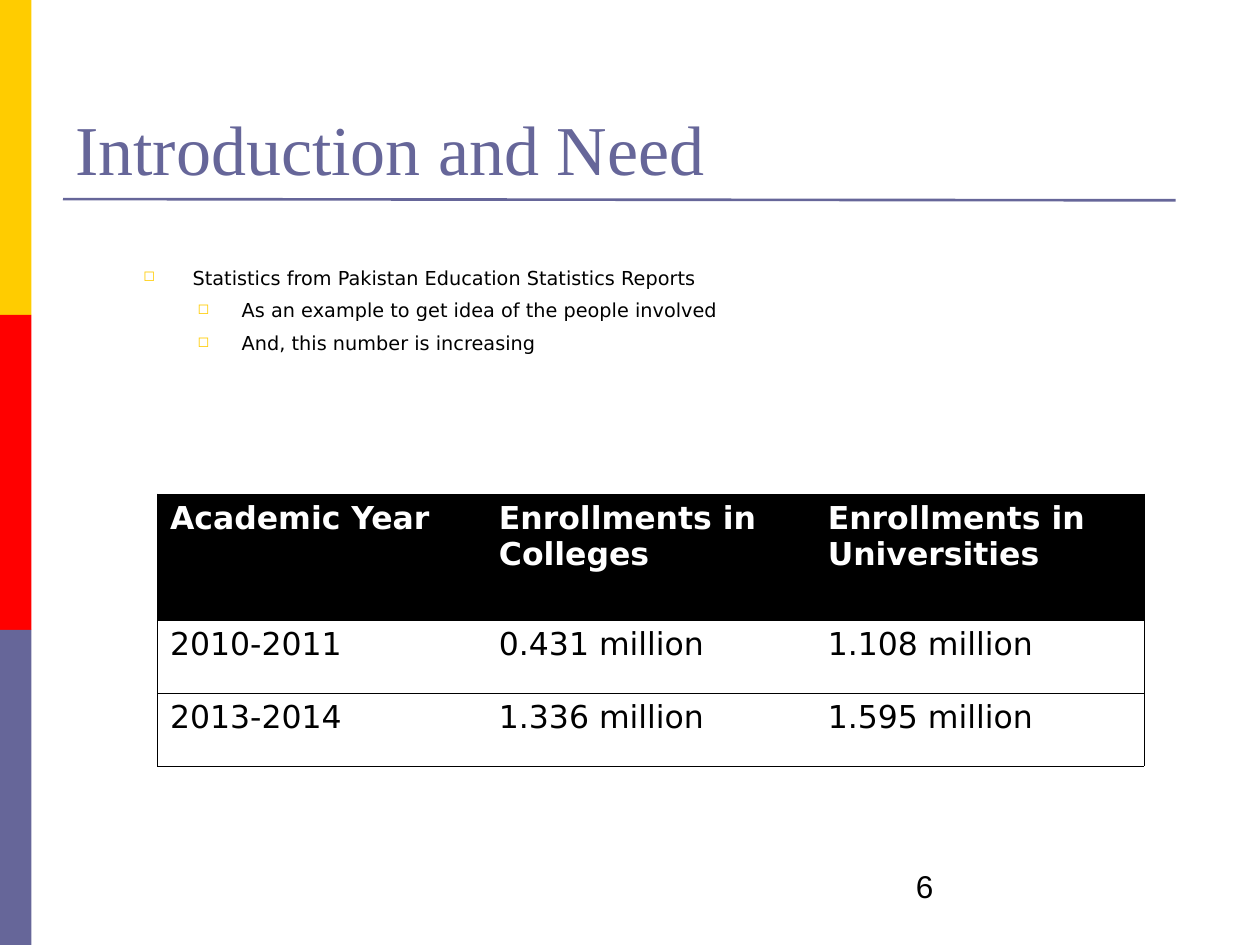
from dataclasses import dataclass

from lxml import etree
from pptx import Presentation
from pptx.dml.color import RGBColor
from pptx.enum.shapes import MSO_CONNECTOR, MSO_SHAPE
from pptx.enum.text import MSO_ANCHOR, PP_ALIGN
from pptx.oxml.ns import qn
from pptx.util import Inches, Pt


@dataclass(frozen=True)
class Theme:
    yellow: str = "FFCC00"
    red: str = "FF0000"
    violet: str = "666699"
    black: str = "000000"
    white: str = "FFFFFF"
    title_font: str = "Times New Roman"
    body_font: str = "DejaVu Sans"
    number_font: str = "Arial"
    title_size: float = 40
    body_size: float = 11
    table_size: float = 18
    number_size: float = 18
    rule_width: float = 1.5
    border_width: float = 0.34


THEME = Theme()

# Level, text
BULLETS = [
    (1, "Statistics from Pakistan Education Statistics Reports"),
    (2, "As an example to get idea of the people involved"),
    (2, "And, this number is increasing"),
]
# Left margin and hanging indent in inches for each level
BULLET_INDENTS = {1: (0.85, 0.39), 2: (1.24, 0.35)}

ENROLLMENTS = [
    ["Academic Year", "Enrollments in Colleges", "Enrollments in Universities"],
    ["2010-2011", "0.431 million", "1.108 million"],
    ["2013-2014", "1.336 million", "1.595 million"],
]
ROW_HEIGHTS = [1, 0.58, 0.58]


def color(value):
    return RGBColor.from_string(value)


def format_font(paragraph, name, size, value, bold=False):
    for run in paragraph.runs:
        font = run.font
        font.name, font.size, font.bold = name, Pt(size), bold
        font.color.rgb = color(value)


def add_text_frame(slide, left, top, width, height):
    box = slide.shapes.add_textbox(Inches(left), Inches(top), Inches(width), Inches(height))
    box.text_frame.word_wrap = True
    return box.text_frame


def add_side_bands(slide, left, top, width, height):
    """Stack equal colour bands down the box."""
    bands = [THEME.yellow, THEME.red, THEME.violet]
    band_height = height / len(bands)
    for index, fill in enumerate(bands):
        band = slide.shapes.add_shape(
            MSO_SHAPE.RECTANGLE, Inches(left), Inches(top + index * band_height),
            Inches(width), Inches(band_height))
        band.shadow.inherit = False
        band.fill.solid()
        band.fill.fore_color.rgb = color(fill)
        band.line.fill.background()


def add_title(slide, left, top, width, height):
    """Place the title at the foot of the box, with the rule just below it."""
    frame = add_text_frame(slide, left, top, width, height)
    frame.vertical_anchor = MSO_ANCHOR.BOTTOM
    frame.text = "Introduction and Need"
    format_font(frame.paragraphs[0], THEME.title_font, THEME.title_size, THEME.violet)

    rule_top = top + height + 0.03
    rule = slide.shapes.add_connector(
        MSO_CONNECTOR.STRAIGHT, Inches(left), Inches(rule_top),
        Inches(left + 8.83), Inches(rule_top + 0.01))
    rule.line.color.rgb = color(THEME.violet)
    rule.line.width = Pt(THEME.rule_width)
    etree.SubElement(rule.element.spPr, qn("a:effectLst"))


def add_bullet(paragraph, level):
    margin, hanging = BULLET_INDENTS[level]
    properties = paragraph._p.get_or_add_pPr()
    properties.set("marL", str(Inches(margin)))
    properties.set("indent", str(-Inches(hanging)))
    bullet_color = etree.SubElement(properties, qn("a:buClr"))
    etree.SubElement(bullet_color, qn("a:srgbClr"), val=THEME.yellow)
    etree.SubElement(properties, qn("a:buSzPct"), val="75000")
    etree.SubElement(properties, qn("a:buChar"), char="◻")


def add_bullet_list(slide, left, top, width, height):
    frame = add_text_frame(slide, left, top, width, height)
    frame.margin_top = Inches(0.36)
    for index, (level, text) in enumerate(BULLETS):
        paragraph = frame.add_paragraph() if index else frame.paragraphs[0]
        paragraph.text = text
        paragraph.level = level
        add_bullet(paragraph, level)
        paragraph.alignment = PP_ALIGN.JUSTIFY
        paragraph.space_before = Pt(5.5 if index else 0)
        format_font(paragraph, THEME.body_font, THEME.body_size, THEME.black)


def set_borders(cell, visible_sides):
    """Draw the given sides (of L, R, T, B) and hide the others."""
    properties = cell._tc.get_or_add_tcPr()
    for side in "LRTB":
        line = etree.SubElement(
            properties, qn(f"a:ln{side}"), w=str(Pt(THEME.border_width)))
        if side in visible_sides:
            fill = etree.SubElement(line, qn("a:solidFill"))
            etree.SubElement(fill, qn("a:srgbClr"), val=THEME.black)
        else:
            etree.SubElement(line, qn("a:noFill"))


def add_enrollment_table(slide, left, top, width, height):
    column_count = len(ENROLLMENTS[0])
    table = slide.shapes.add_table(
        len(ENROLLMENTS), column_count, Inches(left), Inches(top),
        Inches(width), Inches(height)).table
    for column in table.columns:
        column.width = Inches(width / column_count)
    for row_index, values in enumerate(ENROLLMENTS):
        table.rows[row_index].height = Inches(ROW_HEIGHTS[row_index])
        is_header = row_index == 0
        for column_index, value in enumerate(values):
            cell = table.cell(row_index, column_index)
            sides = "TB"
            if column_index == 0:
                sides += "L"
            if column_index == column_count - 1:
                sides += "R"
            set_borders(cell, sides)
            cell.fill.solid()
            cell.fill.fore_color.rgb = color(THEME.black if is_header else THEME.white)
            cell.text_frame.text = value
            format_font(cell.text_frame.paragraphs[0], THEME.body_font, THEME.table_size,
                        THEME.white if is_header else THEME.black, is_header)


def add_slide_number(slide, left, top, width, height):
    frame = add_text_frame(slide, left, top, width, height)
    frame.text = "6"
    format_font(frame.paragraphs[0], THEME.number_font, THEME.number_size, THEME.black)


def main():
    presentation = Presentation()
    presentation.slide_width = Inches(10)
    presentation.slide_height = Inches(7.5)
    slide = presentation.slides.add_slide(presentation.slide_layouts[6])
    add_side_bands(slide, 0, 0, 0.25, 7.5)
    add_title(slide, 0.5, 0.3, 9, 1.25)
    add_bullet_list(slide, 0.58, 1.75, 8.58, 1.75)
    add_enrollment_table(slide, 1.25, 3.92, 7.83, sum(ROW_HEIGHTS))
    add_slide_number(slide, 7.17, 6.83, 2.31, 0.48)
    presentation.save("out.pptx")


if __name__ == "__main__":
    main()
